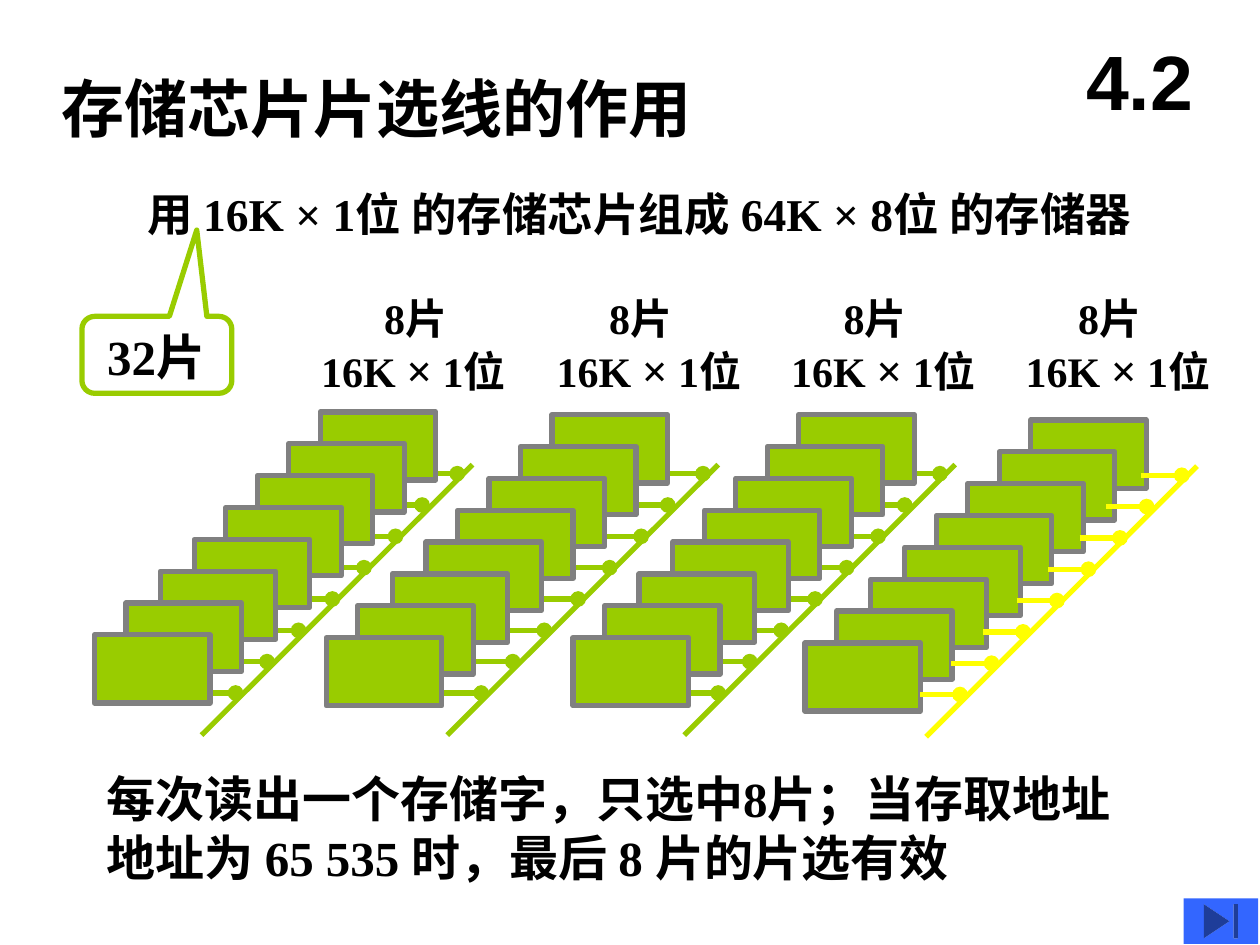
import pptx
import pptx.dml.color
import pptx.enum.shapes
import pptx.enum.text
import pptx.oxml.ns
import pptx.util
from lxml import etree

Pt = pptx.util.Pt
RGBColor = pptx.dml.color.RGBColor
SHAPE = pptx.enum.shapes.MSO_SHAPE
ALIGN = pptx.enum.text.PP_ALIGN
ANCHOR = pptx.enum.text.MSO_ANCHOR
qn = pptx.oxml.ns.qn

BLACK = RGBColor(0x00, 0x00, 0x00)
GREEN = RGBColor(0x99, 0xCC, 0x00)
GRAY = RGBColor(0x80, 0x80, 0x80)
YELLOW = RGBColor(0xFF, 0xFF, 0x00)
BLUE = RGBColor(0x33, 0x66, 0xFF)

CHIP_SHIFTS = [0, -18, -36, -54, -72, -91.4, -111, -129]
CHIP_STEP = 18.2
STUB_SHIFTS = [-31.7, -51.8, -67, -85, -103, -122.4, -140.4, -158.4]
STUB_STEP = 17.9
CHIP_BANKS = [(183, 235.4), (315.5, 237), (456.5, 237), (589, 240)]
GREEN_BUSES = [(545.8, 265.5), (410.4, 265.5), (270, 265.5)]
YELLOW_BUS = (684, 266.4)
LABELS = [(176.4, 159, 36), (311, 151, 30), (445, 131, 30), (579, 141, 30)]


class Painter:
    """Draws memory-chip diagram elements on one slide in a shared style."""

    def __init__(self, slide, font="Times New Roman", line_width=3):
        self.slide = slide
        self.font = font
        self.line_width = Pt(line_width)

    def style(self, paragraph, size, font=None):
        paragraph.font.name = font or self.font
        paragraph.font.size = Pt(size)
        paragraph.font.bold = True
        paragraph.font.color.rgb = BLACK

    def text(self, left, top, width, height, text, size, font=None,
             align=ALIGN.LEFT, anchor=ANCHOR.TOP):
        box = self.slide.shapes.add_textbox(Pt(left), Pt(top), Pt(width), Pt(height))
        frame = box.text_frame
        frame.word_wrap = True
        frame.vertical_anchor = anchor
        frame.text = text
        frame.paragraphs[0].alignment = align
        self.style(frame.paragraphs[0], size, font)
        return frame

    def label(self, left, width, indent):
        frame = self.text(left, 163.4, width, 67.7, "8片", 24)
        frame.paragraphs[0]._p.get_or_add_pPr().set("marL", str(Pt(indent)))
        capacity = frame.add_paragraph()
        for text, size in [("16K ", 24), ("×", 26), (" 1位", 24)]:
            run = capacity.add_run()
            run.text = text
            run.font.size = Pt(size)
        self.style(capacity, 24)

    def shape(self, kind, left, top, width, height, fill=None, line=None):
        shape = self.slide.shapes.add_shape(kind, Pt(left), Pt(top), Pt(width), Pt(height))
        shape.shadow.inherit = False
        if fill is None:
            shape.fill.background()
        else:
            shape.fill.solid()
            shape.fill.fore_color.rgb = fill
        if line is None:
            shape.line.fill.background()
        else:
            shape.line.color.rgb = line
            shape.line.width = self.line_width
        return shape

    def callout(self, left, top, width, height, text):
        shape = self.shape(SHAPE.ROUNDED_RECTANGULAR_CALLOUT, left, top, width, height, line=GREEN)
        for index, value in enumerate([0.266, -1.621, 0.167]):
            shape.adjustments[index] = value
        frame = shape.text_frame
        frame.margin_left, frame.margin_right = Pt(12.3), 0
        frame.vertical_anchor = ANCHOR.TOP
        frame.text = text
        frame.paragraphs[0].alignment = ALIGN.LEFT
        self.style(frame.paragraphs[0], 28)

    def line(self, start, end, color, dot=False):
        connector = self.slide.shapes.add_connector(
            pptx.enum.shapes.MSO_CONNECTOR.STRAIGHT, *map(Pt, start + end))
        connector.line.color.rgb = color
        connector.line.width = self.line_width
        properties = connector._element.spPr
        if dot:
            etree.SubElement(properties.find(qn("a:ln")), qn("a:tailEnd"), type="oval")
        etree.SubElement(properties, qn("a:effectLst"))

    def bus(self, right, top, color):
        self.line((right, top), (right - 154.8, top + 154.6), color)
        for index, shift in enumerate(STUB_SHIFTS):
            left, level = right + shift, top + 5.2 + index * STUB_STEP
            self.line((left, level), (left + 23, level), color, dot=True)

    def chips(self, left, top):
        for index, shift in enumerate(CHIP_SHIFTS):
            self.shape(SHAPE.RECTANGLE, left + shift, top + index * CHIP_STEP, 66, 39, GREEN, GRAY)


def main():
    presentation = pptx.Presentation()
    presentation.slide_width, presentation.slide_height = Pt(720), Pt(540)
    painter = Painter(presentation.slides.add_slide(presentation.slide_layouts[6]))

    for right, top in GREEN_BUSES:
        painter.bus(right, top, GREEN)
    painter.text(28, 36, 382, 50.4, "存储芯片片选线的作用", 36)
    painter.text(77, 103, 613, 39, "用 16K × 1位 的存储芯片组成 64K × 8位 的存储器", 26)
    for left, top in CHIP_BANKS:
        painter.chips(left, top)
    painter.callout(46.8, 180.8, 85.7, 44, "32片")
    painter.bus(*YELLOW_BUS, YELLOW)
    painter.text(54, 435.6, 610, 75,
                 "每次读出一个存储字，只选中8片；当存取地址地址为 65 535 时，最后 8 片的片选有效", 28)
    for left, width, indent in LABELS:
        painter.label(left, width, indent)
    painter.text(606.2, 12.2, 90, 66.2, "4.2", 44, "Arial", ALIGN.CENTER, ANCHOR.MIDDLE)
    painter.shape(SHAPE.ACTION_BUTTON_END, 676.4, 513.4, 42.5, 26, BLUE)

    presentation.save("out.pptx")


if __name__ == "__main__":
    main()
